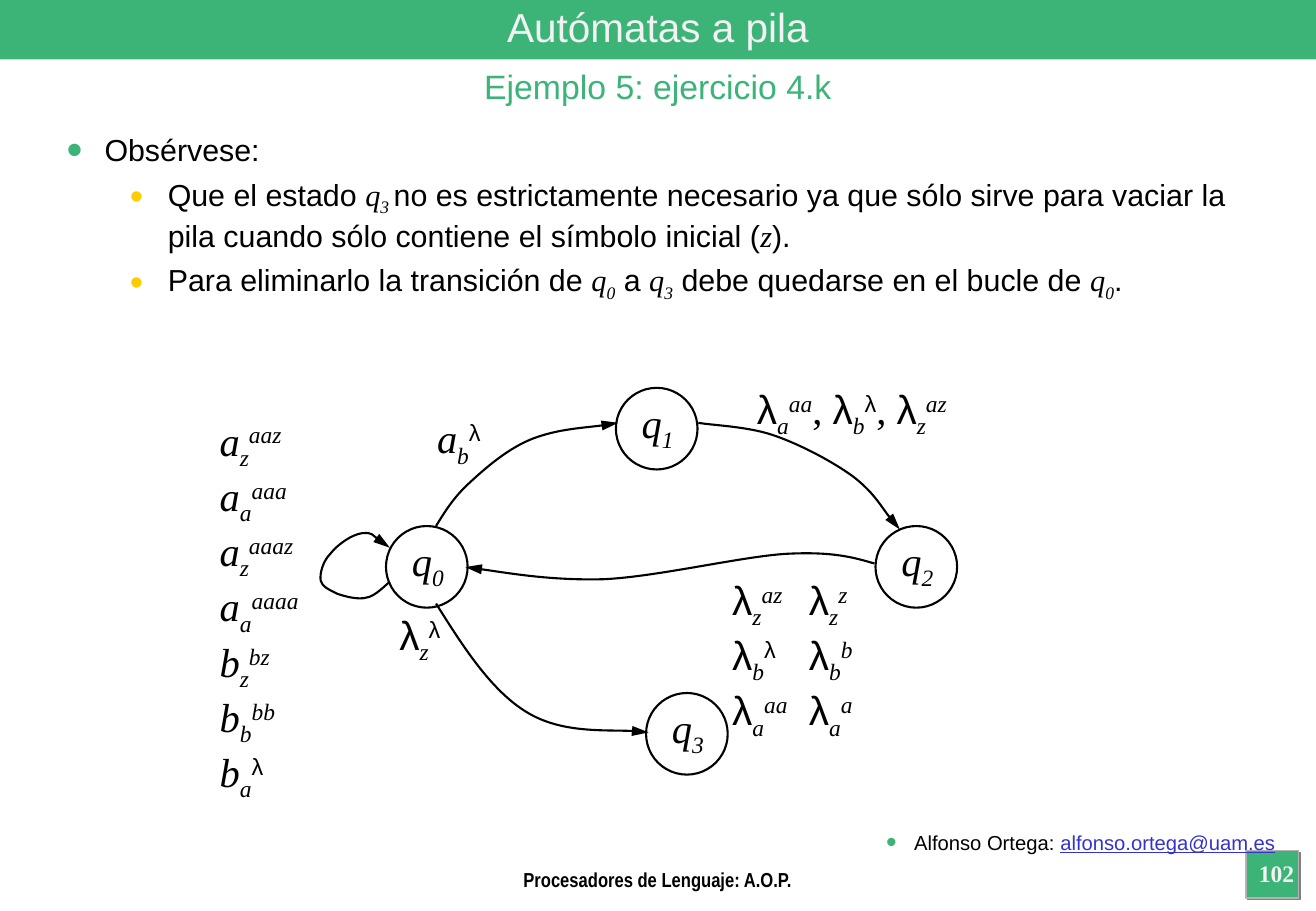
from lxml import etree
from pptx import Presentation
from pptx.dml.color import RGBColor
from pptx.enum.shapes import MSO_SHAPE
from pptx.enum.text import MSO_ANCHOR, PP_ALIGN
from pptx.oxml.ns import qn
from pptx.util import Pt

RECT, OVAL = MSO_SHAPE.RECTANGLE, MSO_SHAPE.OVAL
TOP, MIDDLE = MSO_ANCHOR.TOP, MSO_ANCHOR.MIDDLE
LEFT, CENTER, RIGHT = PP_ALIGN.LEFT, PP_ALIGN.CENTER, PP_ALIGN.RIGHT
SANS, NARROW, SERIF = "Arial", "Arial Narrow", "Times New Roman"
WIDTH, HEIGHT = 780.13, 540
SIDE = 48.4

COLORS = {"green": "3CB478", "yellow": "FFCC00", "black": "000000",
          "pale": "F2F2F2", "gray": "B2B2B2", "shade": "808080",
          "blue": "3333CC"}

# Runs are split by "|": ~ italic, _ subscript, ^ superscript, = upright serif.
MARKS = {"~": (SERIF, True, 0), "_": (SERIF, True, -25000),
         "^": (SERIF, True, 30000), "=": (SERIF, False, 0)}

TITLE = "Autómatas a pila"
HEADING = "Ejemplo 5: ejercicio 4.k"
FOOTER = "Procesadores de Lenguaje: A.O.P."
NUMBER = "102"
AUTHOR, MAIL = "Alfonso Ortega: ", "alfonso.ortega@uam.es"

POINTS = [
    (0, "Obsérvese:"),
    (1, "Que el estado |~q|_3 |no es estrictamente necesario ya que sólo "
        "sirve para vaciar la pila cuando sólo contiene el símbolo inicial "
        "(|~z|)."),
    (1, "Para eliminarlo la transición de |~q|_0| a |~q|_3| debe quedarse "
        "en el bucle de |~q|_0|."),
]
LEVELS = [(22.5, "green", 150), (60, "yellow", 125)]

STATES = [("~q|_0", 253, 336), ("~q|_1", 389.3, 254.1),
          ("~q|_2", 543.2, 336), ("~q|_3", 407.2, 435)]

LABELS = [
    ((229.7, 358, 40.3, 40.3), ["λ|_z|^λ"]),
    ((123.1, 242.8, 61.2, 236.9),
     ["~a|_z|^aaz", "~a|_a|^aaa", "~a|_z|^aaaz", "~a|_a|^aaaa",
      "~b|_z|^bz", "~b|_b|^bb", "~b|_a|^λ"]),
    ((252, 241.5, 41, 40.3), ["~a|_b|^λ"]),
    ((441.6, 224.2, 131, 40.3), ["λ|_a|^aa|=, |λ|_b|^λ|=, |λ|_z|^az"]),
    ((427, 337.2, 48.2, 105.8), ["λ|_z|^az", "λ|_b|^λ", "λ|_a|^aa"]),
    ((472.5, 337.2, 41, 105.8), ["λ|_z|^z", "λ|_b|^b", "λ|_a|^a"]),
]

ARROWS = {
    "q0-q0": [(231.1, 344.9), (229, 346.3), (222.5, 353.5), (217.4, 354.2),
              (212.4, 355.7), (204.5, 353.5), (200.2, 352.1),
              (195.8, 349.9), (190.8, 347.8), (190.1, 344.2),
              (189.4, 339.8), (191.5, 332.6), (195.8, 328.3),
              (200.2, 322.6), (208.8, 316.8), (214.6, 316.1),
              (221, 315.4), (228.2, 323.3), (231.1, 324.7)],
    "q1-q2": [(414, 250.6), (421.2, 252), (442.8, 252.7), (457.9, 257.8),
              (473, 262.8), (492.5, 272.9), (505.4, 282.2),
              (517.7, 291.6), (527, 307.4), (533.5, 313.9)],
    "q0-q3": [(258.5, 357.8), (274.3, 383), (290.9, 409), (311.8, 421.9),
              (332.6, 434.9), (373, 432), (384.5, 434.2)],
    "q0-q1": [(258.5, 311.8), (263.5, 303.8), (268.6, 295.2), (277.9, 286.6),
              (287.3, 277.9), (301, 265.7), (316.1, 259.9),
              (331.2, 254.2), (357.8, 252.7), (366.5, 250.6)],
    "q2-q0": [(518.4, 334.1), (506.2, 330.5), (493.9, 326.9), (466.6, 328.3),
              (439.9, 329.8), (389.5, 342), (357.8, 343.4),
              (326.2, 344.2), (288.7, 337.7), (275.8, 336.2)],
}


def paint(name):
    return RGBColor.from_string(COLORS[name])


def child(parent, tag, **attrs):
    return etree.SubElement(parent, qn(tag), attrs)


def style(font, size, color, face=SANS, bold=False):
    font.size, font.name, font.bold = Pt(size), face, bold
    font.color.rgb = paint(color)


def fill_runs(para, text, size, color="black"):
    for part in text.split("|"):
        face, slant, base = MARKS.get(part[0], (SANS, False, 0))
        word = part[1:] if part[0] in MARKS else part
        run = para.add_run()
        run.text = word
        style(run.font, size, color, SANS if word == "λ" else face)
        run.font.italic = slant and word != "λ"
        if base:
            run.font._element.set("baseline", str(base))


def add_bullet(para, left, hang, color, scale):
    props = para._p.get_or_add_pPr()
    props.set("marL", str(Pt(left)))
    props.set("indent", str(-Pt(hang)))
    child(child(props, "a:buClr"), "a:srgbClr", val=COLORS[color])
    child(props, "a:buSzPct", val=str(scale * 1000))
    child(props, "a:buFont", typeface=SANS)
    child(props, "a:buChar", char="•")


def add_box(slide, area, align=LEFT, anchor=TOP, wrap=True):
    frame = slide.shapes.add_textbox(*map(Pt, area)).text_frame
    frame.word_wrap, frame.vertical_anchor = wrap, anchor
    frame.paragraphs[0].alignment = align
    return frame


def add_line(slide, area, text, size, color, face=SANS, bold=False, anchor=TOP):
    para = add_box(slide, area, CENTER, anchor).paragraphs[0]
    para.text = text
    style(para.runs[0].font, size, color, face, bold)


def add_solid(slide, area, kind=RECT, fill=None, line=None, width=0):
    shape = slide.shapes.add_shape(kind, *map(Pt, area))
    shape.shadow.inherit = False
    if fill:
        shape.fill.solid()
        shape.fill.fore_color.rgb = paint(fill)
    else:
        shape.fill.background()
    if line:
        shape.line.color.rgb, shape.line.width = paint(line), Pt(width)
    else:
        shape.line.fill.background()
    return shape


def add_state(slide, name, mid_x, mid_y):
    area = (mid_x - SIDE / 2, mid_y - SIDE / 2, SIDE, SIDE)
    frame = add_solid(slide, area, OVAL, None, "black", 1.25).text_frame
    frame.margin_right = frame.margin_top = 0
    frame.margin_left, frame.margin_bottom = Pt(1.2), Pt(3.6)
    frame.word_wrap, frame.vertical_anchor = False, MIDDLE
    frame.paragraphs[0].alignment = CENTER
    fill_runs(frame.paragraphs[0], name, 24)


def add_arrow(slide, points):
    start, *rest = [(Pt(x), Pt(y)) for x, y in points]
    pen = slide.shapes.build_freeform(*start)
    pen.add_line_segments(rest, close=False)
    shape = pen.convert_to_shape()
    shape.shadow.inherit = False
    shape.fill.background()
    shape.line.color.rgb, shape.line.width = paint("black"), Pt(1.25)
    child(shape.line._get_or_add_ln(), "a:tailEnd",
          type="triangle", w="med", len="lg")
    track = shape._element.find(".//" + qn("a:path"))
    steps = track.findall(qn("a:lnTo"))
    for i in range(0, len(steps), 3):
        curve = child(track, "a:cubicBezTo")
        for step in steps[i:i + 3]:
            curve.append(step[0])
            track.remove(step)


def main():
    """Build the slide about the pushdown automaton of exercise 4.k."""
    deck = Presentation()
    deck.slide_width, deck.slide_height = Pt(WIDTH), Pt(HEIGHT)
    slide = deck.slides.add_slide(deck.slide_layouts[6])

    badge = add_solid(slide, (738.7, 504.3, 31, 28), RECT, "green", "gray", 0.75)
    effects = badge._element.spPr.find(qn("a:effectLst"))
    shade = child(effects, "a:outerShdw", dist=str(Pt(1.4)), dir="2700000")
    child(shade, "a:srgbClr", val=COLORS["shade"])
    add_solid(slide, (0, 0, WIDTH, 35.3), RECT, "green")

    para = add_box(slide, (217.4, 488.6, 545.8, 31.7), RIGHT).paragraphs[0]
    add_bullet(para, 16.5, 16.5, "green", 150)
    fill_runs(para, AUTHOR, 12)
    fill_runs(para, MAIL, 12, "blue")
    para.runs[-1].font.underline = True

    add_line(slide, (0, 0, WIDTH, 31.7), TITLE, 24, "pale", anchor=MIDDLE)
    add_line(slide, (0, 35.3, WIDTH, 31.7), HEADING, 20, "green")

    frame = add_box(slide, (32.4, 74.5, 717, 417.6))
    for i, (level, text) in enumerate(POINTS):
        para = frame.add_paragraph() if i else frame.paragraphs[0]
        left, color, scale = LEVELS[level]
        para.level = level
        add_bullet(para, left, 22.5, color, scale)
        para.space_before = Pt(4.5 if i else 0)
        fill_runs(para, text, 18)

    for state in STATES:
        add_state(slide, *state)
    for points in ARROWS.values():
        add_arrow(slide, points)
    for area, rows in LABELS:
        frame = add_box(slide, area, wrap=False)
        for i, text in enumerate(rows):
            para = frame.add_paragraph() if i else frame.paragraphs[0]
            fill_runs(para, text, 24)

    add_line(slide, (216.7, 510.8, 346.3, 13), FOOTER, 12, "black", NARROW, True)
    add_line(slide, (737.3, 505.7, 38.9, 25.2), NUMBER, 14, "pale", SERIF, True)
    deck.save("out.pptx")


if __name__ == "__main__":
    main()
